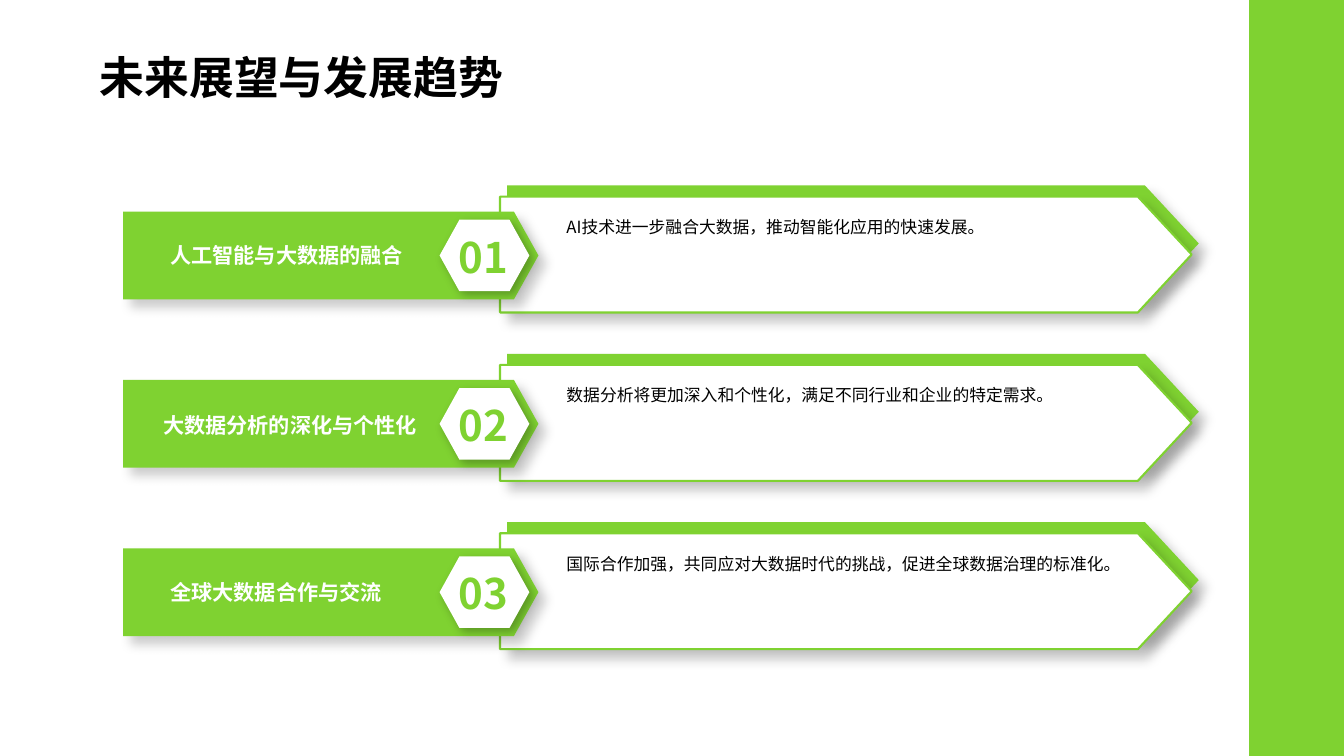
import dataclasses

import pptx
import pptx.dml.color
import pptx.enum.shapes
import pptx.enum.text
import pptx.oxml
import pptx.oxml.ns
import pptx.util
from lxml import etree

Inches = pptx.util.Inches
Pt = pptx.util.Pt
Kind = pptx.enum.shapes.MSO_SHAPE
Anchor = pptx.enum.text.MSO_ANCHOR
qn = pptx.oxml.ns.qn


@dataclasses.dataclass(frozen=True)
class Theme:
    green: str = "7FD231"
    white: str = "FFFFFF"
    black: str = "000000"
    font: str = "Noto Sans CJK SC"
    title: float = 32
    number: float = 30
    label: float = 15.1
    body: float = 12


THEME = Theme()
PITCH = 1.67
# label, label left, label width, label line spacing, body text
TRENDS = [
    ("人工智能与大数据的融合", 0.37, 2.66, 1.0,
     "AI技术进一步融合大数据，推动智能化应用的快速发展。"),
    ("大数据分析的深化与个性化", 0.3, 2.8, 1.1,
     "数据分析将更加深入和个性化，满足不同行业和企业的特定需求。"),
    ("全球大数据合作与交流", 0.37, 2.66, 1.0,
     "国际合作加强，共同应对大数据时代的挑战，促进全球数据治理的标准化。"),
]


def rgb(code):
    return pptx.dml.color.RGBColor.from_string(code)


def cast(shape, alpha, blur, dist):
    """Give the shape a soft shadow falling to the lower right."""
    effects = shape._element.spPr.find(qn("a:effectLst"))
    shadow = etree.SubElement(
        effects, qn("a:outerShdw"), blurRad=str(Pt(blur)), dist=str(Pt(dist)),
        dir=str(45 * 60000), algn="tl", rotWithShape="0")
    color = etree.SubElement(shadow, qn("a:srgbClr"), val=THEME.black)
    etree.SubElement(color, qn("a:alpha"), val=str(alpha * 1000))


def draw(slide, kind, box, fill, adjust=None, line=None, shadow=None):
    shape = slide.shapes.add_shape(kind, *map(Inches, box))
    shape.shadow.inherit = False
    shape.fill.solid()
    shape.fill.fore_color.rgb = rgb(fill)
    if adjust is not None:
        shape.adjustments[0] = adjust
    if line:
        shape.line.color.rgb = rgb(line)
        shape.line.width = Pt(1.5)
    else:
        shape.line.fill.background()
    if shadow:
        cast(shape, *shadow)
    return shape


def write(slide, box, text, size, color, bold=True, space=1.0,
          anchor=Anchor.MIDDLE):
    frame = slide.shapes.add_textbox(*map(Inches, box)).text_frame
    frame.word_wrap = True
    frame.vertical_anchor = anchor
    frame.text = text
    para = frame.paragraphs[0]
    para.line_spacing = space
    font = para.runs[0].font
    font.name = THEME.font
    font.size = Pt(size)
    font.bold = bold
    font.color.rgb = rgb(color)
    etree.SubElement(font._element, qn("a:ea"), typeface=THEME.font)
    return para


def add_trend(slide, left, top, number, trend):
    label, inset, width, space, body = trend
    soft = (20, 8, 8)
    draw(slide, Kind.PENTAGON, (left + 3.81, top, 6.86, 1.15),
         THEME.green, 0.464, shadow=soft)
    draw(slide, Kind.PENTAGON, (left + 3.74, top + 0.11, 6.86, 1.15),
         THEME.white, 0.464, THEME.green, soft)
    draw(slide, Kind.PENTAGON, (left, top + 0.26, 4.12, 0.87),
         THEME.green, 0.279, shadow=soft)
    draw(slide, Kind.HEXAGON, (left + 3.14, top + 0.34, 0.89, 0.71),
         THEME.white, 0.277, shadow=(27, 7, 4))
    write(slide, (left + inset, top + 0.47, width, 0.44), label,
          THEME.label, THEME.white, space=space)
    write(slide, (left + 3.23, top + 0.4, 0.79, 0.61), f"{number:02}",
          THEME.number, THEME.green)
    para = write(slide, (left + 4.3, top + 0.2, 5.73, 0.95), body, THEME.body,
                 THEME.black, bold=False, space=1.3, anchor=Anchor.TOP)
    para.space_after = Pt(1.5)


def add_trends(slide, left, top):
    for row, trend in enumerate(TRENDS):
        add_trend(slide, left, top + row * PITCH, row + 1, trend)


def main():
    deck = pptx.Presentation()
    deck.slide_width = Inches(13.33)
    deck.slide_height = Inches(7.5)
    slide = deck.slides.add_slide(deck.slide_layouts[6])
    add_trends(slide, 1.22, 1.84)
    draw(slide, Kind.RECTANGLE, (12.39, 0, 0.94, 7.5), THEME.green)
    write(slide, (0.89, 0.31, 10.33, 0.79), "未来展望与发展趋势",
          THEME.title, THEME.black, space=1.2)
    deck.save("out.pptx")


if __name__ == "__main__":
    main()
